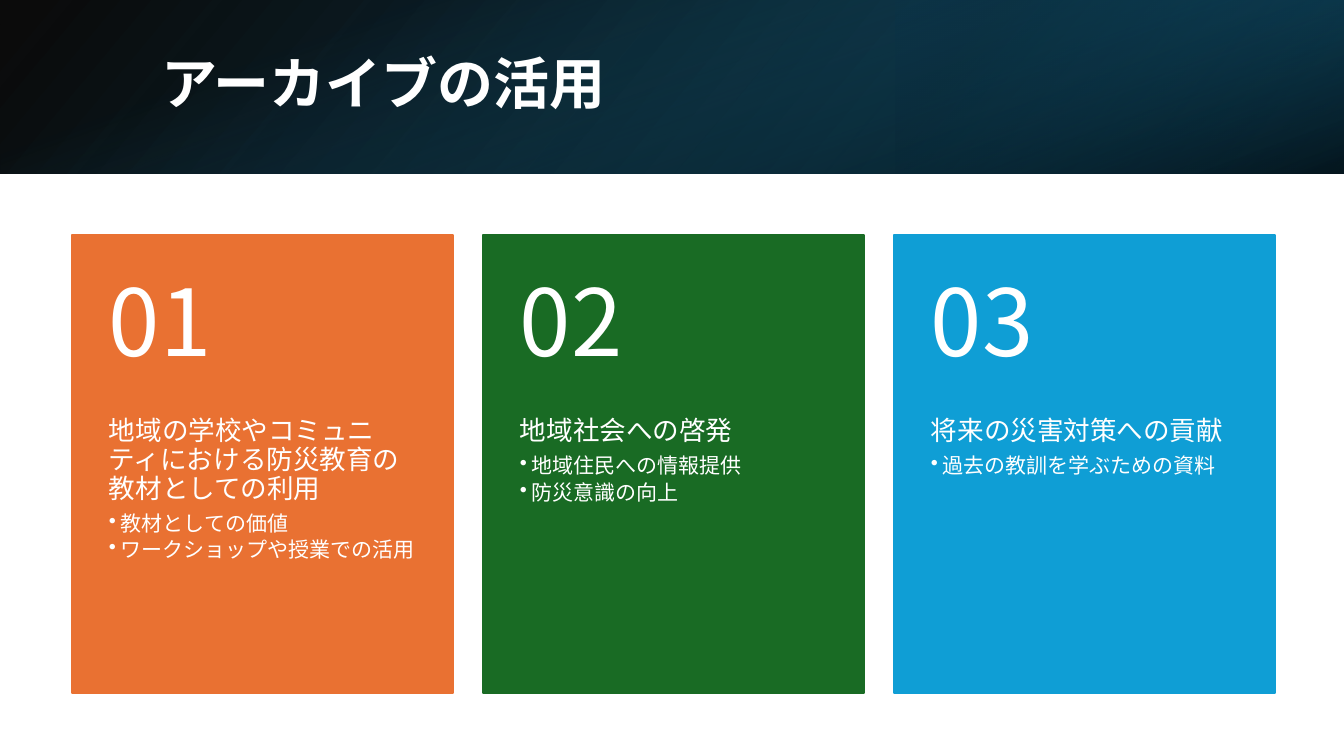
from lxml.etree import SubElement
from pptx import Presentation
from pptx.dml.color import RGBColor
from pptx.enum.shapes import MSO_SHAPE
from pptx.enum.text import MSO_ANCHOR as ANCHOR, MSO_AUTO_SIZE as AUTO_SIZE, PP_ALIGN as ALIGN
from pptx.oxml.ns import qn
from pptx.util import Pt

PX = 914400 / 100.8
FONT = "Noto Sans CJK JP"
COLORS = {
    "white": "FFFFFF", "black": "000000", "deep": "104862",
    "night": "0B3041", "teal": "156082",
    "orange": "E97132", "green": "196B24", "blue": "0F9ED5",
}


def px(*lengths):
    return [round(length * PX) for length in lengths]


def style(paragraph, size, gap=0, bold=False):
    paragraph.alignment = ALIGN.LEFT
    paragraph.line_spacing = 0.9
    paragraph.space_before = Pt(0)
    paragraph.space_after = Pt(gap)
    font = paragraph.font
    font.size, font.bold = Pt(size), bold
    font.color.rgb = RGBColor.from_string(COLORS["white"])
    font.name = FONT
    # East Asian typeface
    properties = paragraph._p.pPr.find(qn("a:defRPr"))
    SubElement(properties, qn("a:ea"), typeface=FONT)


prs = Presentation()
prs.slide_width, prs.slide_height = px(1344, 756)
slide = prs.slides.add_slide(prs.slide_layouts[5])

# Header band: three layered gradients
# (box, rotation, flipped, clockwise angle, stops of position, colour, opacity %)
HEADER = [
    ((0, 0, 1344, 174), 0, True, 140, [(0, "black", 96), (1, "deep", 100)]),
    ((896, 0, 448, 174), 180, True, 320, [(0.19, "night", 68), (1, "teal", 79)]),
    ((585, -585, 174, 1344), 90, False, 340, [(0.23, "teal", 0), (0.99, "black", 74)]),
]
# The first stop list spans its whole length, opacity included
for box, rotation, flipped, angle, stops in HEADER:
    band = slide.shapes.add_shape(MSO_SHAPE.RECTANGLE, *px(*box))
    band.shadow.inherit = False
    band.line.fill.background()
    band.rotation = rotation
    if flipped:
        band.element.spPr.find(qn("a:xfrm")).set("flipH", "1")
    band.fill.gradient()
    band.fill.gradient_angle = 360 - angle
    for stop, (position, color, opacity) in zip(band.fill.gradient_stops, stops):
        stop.position = position
        stop.color.rgb = RGBColor.from_string(COLORS[color])
        tint = next(band.element.iter(qn("a:gsLst")))[stops.index((position, color, opacity))][0]
        SubElement(tint, qn("a:alpha"), val=str(opacity * 1000))

# Title, brought in front of the header
title = slide.shapes.title
title.left, title.top, title.width, title.height = px(151, 38, 1107, 97)
title.text_frame.text = "アーカイブの活用"
title.text_frame.auto_size = AUTO_SIZE.NONE
title.text_frame.vertical_anchor = ANCHOR.MIDDLE
style(title.text_frame.paragraphs[0], 40, bold=True)
title.element.getparent().append(title.element)

# Three numbered cards
CARDS = [
    ("orange", "地域の学校やコミュニティにおける防災教育の教材としての利用",
     ["教材としての価値", "ワークショップや授業での活用"]),
    ("green", "地域社会への啓発", ["地域住民への情報提供", "防災意識の向上"]),
    ("blue", "将来の災害対策への貢献", ["過去の教訓を学ぶための資料"]),
]
LEFT, TOP, PITCH, WIDTH, HEIGHT, NUMBER_HEIGHT = 72, 235, 411, 381, 458, 183
HEADING_GAP, POINT_GAP = 6.3, 2.7
cards = slide.shapes.add_group_shape().shapes

for index, (color, heading, points) in enumerate(CARDS):
    left = LEFT + index * PITCH
    card = cards.add_shape(MSO_SHAPE.RECTANGLE, *px(left, TOP, WIDTH, HEIGHT))
    card.shadow.inherit = False
    card.fill.solid()
    card.fill.fore_color.rgb = RGBColor.from_string(COLORS[color])
    card.line.color.rgb = RGBColor.from_string(COLORS[color])
    card.line.width = Pt(1.5)

    body = cards.add_textbox(
        *px(left, TOP + NUMBER_HEIGHT, WIDTH, HEIGHT - NUMBER_HEIGHT)).text_frame
    number = cards.add_textbox(*px(left, TOP, WIDTH, NUMBER_HEIGHT)).text_frame
    for frame, top_inset, bottom_inset in [(body, 0, 36), (number, 18, 18)]:
        frame.word_wrap = True
        (frame.margin_left, frame.margin_top,
         frame.margin_right, frame.margin_bottom) = px(37, top_inset, 37, bottom_inset)

    number.vertical_anchor = ANCHOR.MIDDLE
    number.text = f"{index + 1:02}"
    style(number.paragraphs[0], 66, HEADING_GAP)

    body.text = heading
    style(body.paragraphs[0], 19, HEADING_GAP)
    for point in points:
        item = body.add_paragraph()
        item.text = point
        item.level = 1
        style(item, 15, POINT_GAP)
        # Bullet with a hanging indent
        indent = px(12)[0]
        settings = item._p.pPr
        settings.set("marL", str(indent))
        settings.set("indent", str(-indent))
        bullet = SubElement(settings, qn("a:buChar"), char="•")
        settings.find(qn("a:defRPr")).addprevious(bullet)

prs.save("out.pptx")
